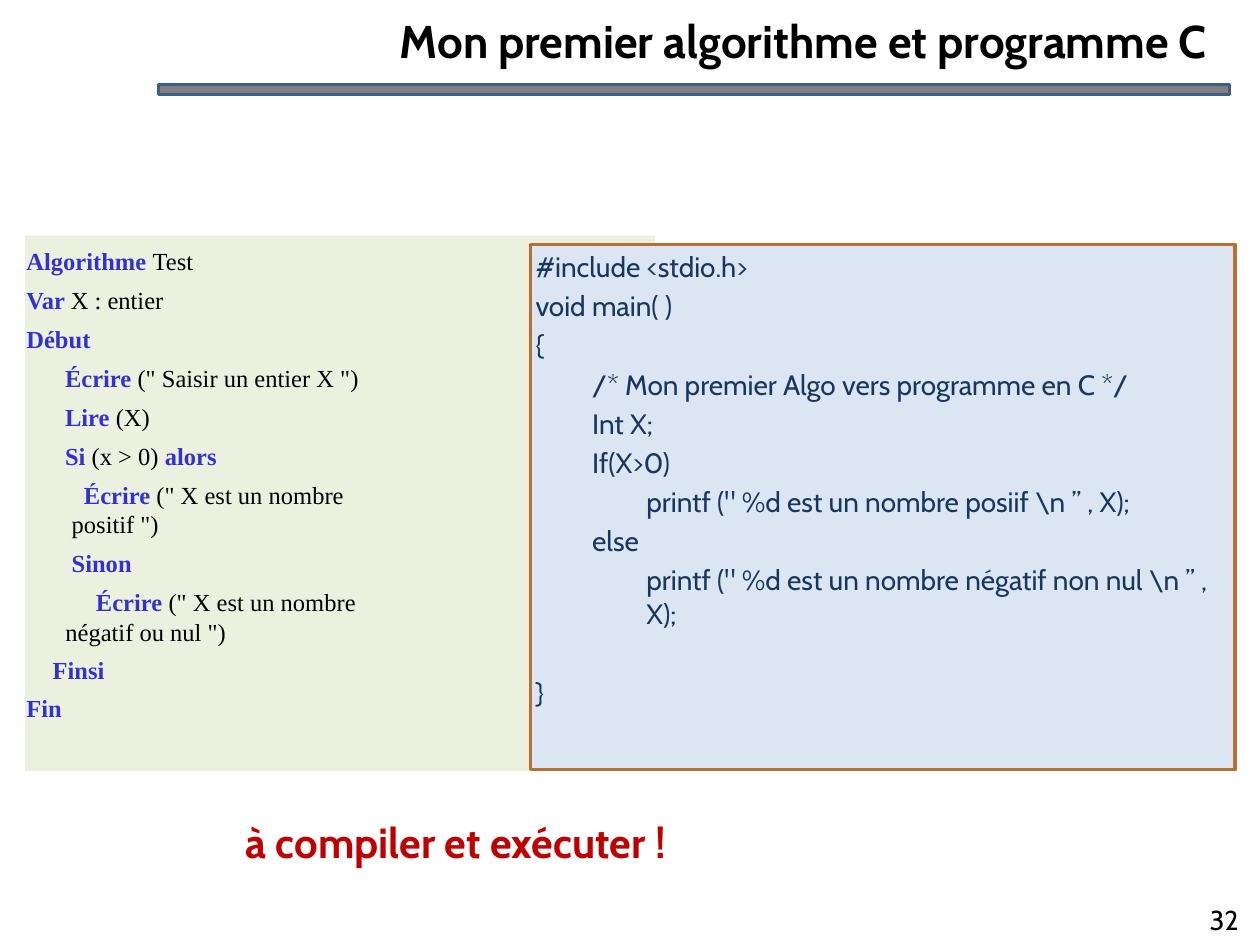
from dataclasses import dataclass

from pptx import Presentation
from pptx.dml.color import RGBColor
from pptx.enum import shapes, text
from pptx.util import Pt

BLACK = RGBColor(0x00, 0x00, 0x00)
KEYWORD = RGBColor(0x33, 0x33, 0xCC)
CODE = RGBColor(0x17, 0x37, 0x5E)
RED = RGBColor(0xC0, 0x00, 0x00)
GREY = RGBColor(0x80, 0x80, 0x80)
BLUE = RGBColor(0x3A, 0x5F, 0x8C)
PALE_GREEN = RGBColor(0xEB, 0xF1, 0xDE)
PALE_BLUE = RGBColor(0xDC, 0xE6, 0xF2)
BROWN = RGBColor(0xB7, 0x6F, 0x34)

SANS, SERIF = "Cabin", "Times New Roman"
WRAP_MARGIN = 155  # keeps the algorithm clear of the C panel


@dataclass(frozen=True)
class Style:
    font: str
    size: float
    color: RGBColor
    bold: bool = False


@dataclass(frozen=True)
class Line:
    runs: tuple[tuple[str, Style], ...]
    margin: float = 0
    indent: float = 0
    before: float = 0
    spacing: float = 1.0
    right: float = 0


KEY = Style(SERIF, 14, KEYWORD, True)
PLAIN = Style(SERIF, 14, BLACK)
SOURCE = Style(SANS, 16, CODE)


def outer(*runs, before: float = 0.7, indent: float = 0) -> Line:
    """Line of the algorithm's outer block."""
    return Line(runs, 0.7, indent, before, 1.3)


def inner(*runs, margin: float = 22.8, indent: float = 0) -> Line:
    """Line inside the algorithm's body."""
    return Line(runs, margin, indent, 5.4, right=WRAP_MARGIN)


def code(words: str, level: int = 0, before: float = 3.2) -> Line:
    return Line(((words, SOURCE),), (0, 32.4, 63.4)[level], before=before)


ALGORITHM = [
    outer(("Algorithme ", KEY), ("Test", PLAIN), before=0),
    outer(("Var ", KEY), ("X : entier", PLAIN)),
    outer(("Début", KEY)),
    inner(("Écrire ", KEY), ('(" Saisir un entier X ")', PLAIN)),
    inner(("Lire ", KEY), ("(X)", PLAIN)),
    inner(("Si ", KEY), ("(x > 0) ", PLAIN), ("alors", KEY)),
    inner(("Écrire ", KEY), ('(" X est un nombre positif ")', PLAIN),
          margin=26.6, indent=7),
    inner(("Sinon", KEY), margin=26.6),
    inner(("Écrire ", KEY), ('(" X est un nombre négatif ou nul ")', PLAIN),
          margin=23, indent=17.5),
    outer(("Finsi", KEY), before=0, indent=15),
    outer(("Fin", KEY), before=0),
]

PROGRAM = [
    code("#include <stdio.h>", before=0),
    code("void main( )"),
    code("{"),
    code("/* Mon premier Algo vers programme en C */", 1),
    code("Int X;", 1),
    code("If(X>0)", 1),
    code('printf (" %d est un nombre posiif \\n ’’ , X);', 2),
    code("else", 1),
    code('printf (" %d est un nombre négatif non nul \\n ’’ , X);', 2),
    code("}", before=25.8),
]


def write(frame, lines: list[Line], align=text.PP_ALIGN.LEFT,
          anchor=text.MSO_ANCHOR.TOP) -> None:
    frame.word_wrap = True
    frame.vertical_anchor = anchor
    for number, line in enumerate(lines):
        paragraph = frame.add_paragraph() if number else frame.paragraphs[0]
        paragraph.alignment = align
        paragraph.space_before = Pt(line.before)
        paragraph.line_spacing = line.spacing
        properties = paragraph._p.get_or_add_pPr()
        for key, value in (("marL", line.margin), ("marR", line.right),
                           ("indent", line.indent)):
            properties.set(key, str(Pt(value)))
        for words, style in line.runs:
            run = paragraph.add_run()
            run.text = words
            run.font.name = style.font
            run.font.size = Pt(style.size)
            run.font.bold = style.bold
            run.font.color.rgb = style.color


def set_insets(frame, left: float, top: float, right: float, bottom: float) -> None:
    frame.margin_left, frame.margin_top = Pt(left), Pt(top)
    frame.margin_right, frame.margin_bottom = Pt(right), Pt(bottom)


def add_panel(slide, box: tuple[float, ...], fill: RGBColor,
              border: RGBColor | None = None):
    panel = slide.shapes.add_shape(shapes.MSO_SHAPE.RECTANGLE, *map(Pt, box))
    panel.shadow.inherit = False
    panel.fill.solid()
    panel.fill.fore_color.rgb = fill
    if border is None:
        panel.line.fill.background()
    else:
        panel.line.color.rgb = border
        panel.line.width = Pt(2)
    return panel


def add_label(slide, box: tuple[float, ...], words: str, style: Style,
              align=text.PP_ALIGN.LEFT, anchor=text.MSO_ANCHOR.MIDDLE) -> None:
    label = slide.shapes.add_textbox(*map(Pt, box))
    write(label.text_frame, [Line(((words, style),))], align, anchor)


def main() -> None:
    deck = Presentation()
    deck.slide_width, deck.slide_height = Pt(720), Pt(540)
    slide = deck.slides.add_slide(deck.slide_layouts[6])

    add_panel(slide, (90.7, 48.2, 612, 5.8), GREY, BLUE)
    add_label(slide, (54.7, 3.6, 648, 38.9), "Mon premier algorithme et programme C ",
              Style(SANS, 26.2, BLACK, True), text.PP_ALIGN.RIGHT)
    add_label(slide, (679, 511.2, 41, 28.8), "32", Style(SANS, 15.6, BLACK),
              text.PP_ALIGN.CENTER)

    algorithm = add_panel(slide, (14.4, 134.6, 360, 306), PALE_GREEN)
    set_insets(algorithm.text_frame, 0, 0.7, 0, 0)
    write(algorithm.text_frame, ALGORITHM)

    program = add_panel(slide, (303.1, 139.7, 402.5, 300.2), PALE_BLUE, BROWN)
    set_insets(program.text_frame, 2.9, 2.9, 2.9, 2.9)
    write(program.text_frame, PROGRAM)

    add_label(slide, (133.2, 463, 339.8, 36), "à compiler et exécuter !",
              Style(SANS, 24, RED, True), anchor=text.MSO_ANCHOR.TOP)
    deck.save("out.pptx")


if __name__ == "__main__":
    main()
